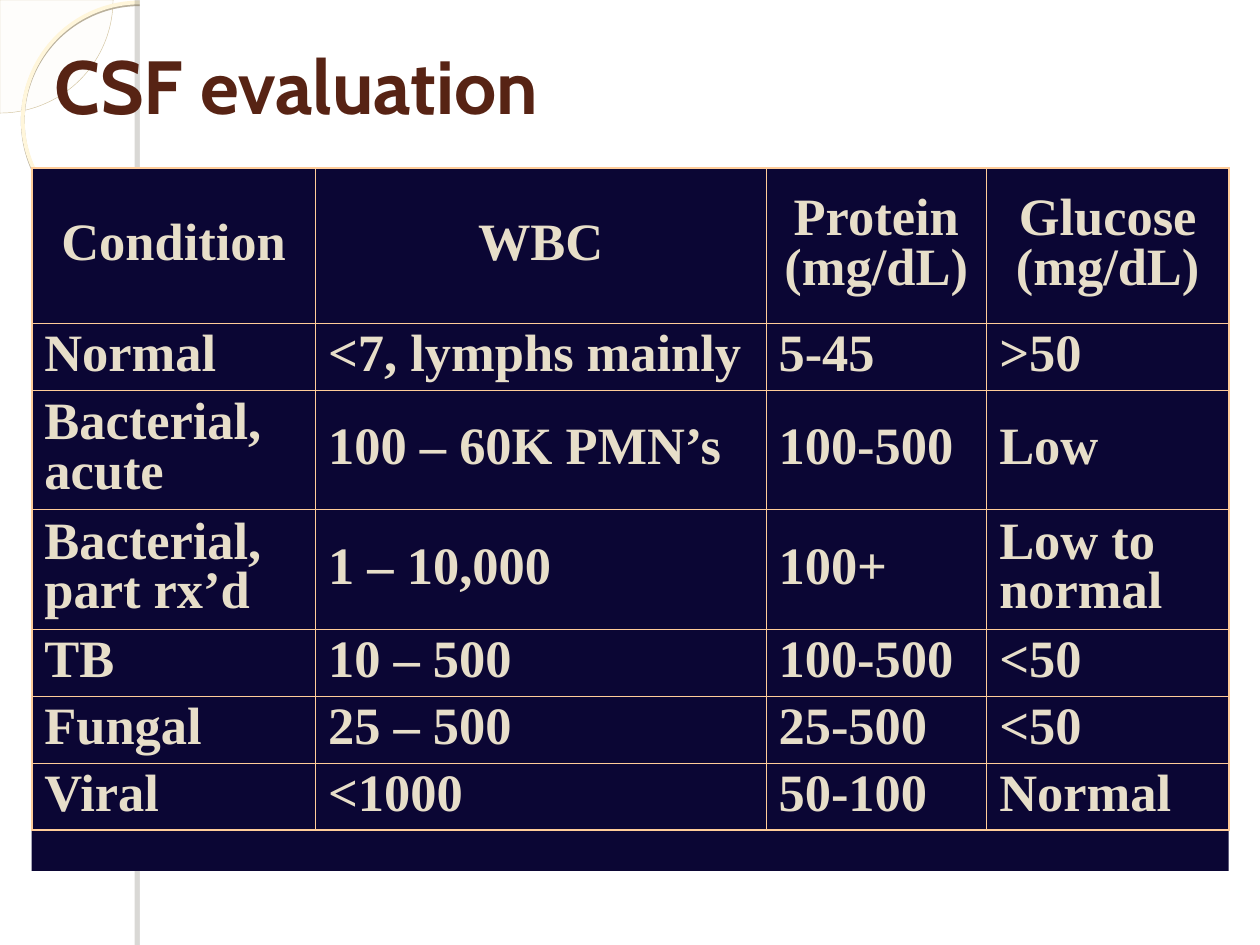
from math import cos, pi, sin

from lxml import etree
from pptx import Presentation
from pptx.dml.color import RGBColor
from pptx.enum.shapes import MSO_SHAPE
from pptx.enum.text import MSO_ANCHOR, MSO_AUTO_SIZE, PP_ALIGN
from pptx.oxml.ns import qn
from pptx.util import Cm, Pt

LEFT, CENTER = PP_ALIGN.LEFT, PP_ALIGN.CENTER
MIDDLE = MSO_ANCHOR.MIDDLE
NO_AUTOFIT = MSO_AUTO_SIZE.NONE
OVAL, RECTANGLE = MSO_SHAPE.OVAL, MSO_SHAPE.RECTANGLE

COLORS = {
    "page": "FFFFFF",
    "title": "572314",
    "panel": "0B0634",
    "cell_text": "E7DEC9",
    "border": "FFCC99",
    "wedge": "FEFAF4",
    "wedge_line": "D2C39E",
    "ring": "FFF6DB",
    "ring_shadow": "AFA58D",
    "bar_shadow": "706B5F",
}

TITLE = "CSF evaluation"
FINDINGS = [
    ("Condition", "WBC", "Protein (mg/dL)", "Glucose (mg/dL)"),
    ("Normal", "<7, lymphs mainly", "5-45", ">50"),
    ("Bacterial, acute", "100 – 60K PMN’s", "100-500", "Low"),
    ("Bacterial, part rx’d", "1 – 10,000", "100+", "Low to normal"),
    ("TB", "10 – 500", "100-500", "<50"),
    ("Fungal", "25 – 500", "25-500", "<50"),
    ("Viral", "<1000", "50-100", "Normal"),
]
COLUMN_WIDTHS = [5.72, 9.08, 4.45, 4.88]
HEADER_HEIGHT, SINGLE_HEIGHT, DOUBLE_HEIGHT = 3.12, 1.35, 2.41
ROW_HEIGHTS = [HEADER_HEIGHT, SINGLE_HEIGHT, DOUBLE_HEIGHT, DOUBLE_HEIGHT] + [SINGLE_HEIGHT] * 3
TABLE_LEFT, TABLE_TOP = 0.64, 3.39
PANEL_HEIGHT = 14.17
SLIDE_WIDTH, SLIDE_HEIGHT = 25.4, 19.05
OUTER_BORDER, INNER_BORDER = 1.08, 0.45
WEDGE_RADIUS, WEDGE_STEPS = 2.28, 48
BAR_LEFT, BAR_WIDTH = 2.82, 0.2


def rgb(name):
    return RGBColor.from_string(COLORS[name])


def write(frame, text, font, size, color, align=LEFT, spacing=None):
    frame.word_wrap = True
    frame.text = text
    paragraph = frame.paragraphs[0]
    paragraph.alignment = align
    paragraph.line_spacing = spacing
    style = paragraph.runs[0].font
    style.name, style.size, style.bold = font, Pt(size), True
    style.color.rgb = rgb(color)


def paint(shape, fill=None, line=None, weight=0):
    shape.shadow.inherit = False
    if fill:
        shape.fill.solid()
        shape.fill.fore_color.rgb = rgb(fill)
    else:
        shape.fill.background()
    if line:
        shape.line.color.rgb = rgb(line)
        shape.line.width = Pt(weight)
    else:
        shape.line.fill.background()
    return shape


def add_part(slide, kind, left, top, width, height, **look):
    return paint(slide.shapes.add_shape(kind, Cm(left), Cm(top), Cm(width), Cm(height)), **look)


def set_alpha(color_element, percent):
    etree.SubElement(color_element, qn("a:alpha"), val=str(percent * 1000))


def cast_shadow(shape, color, alpha, distance, angle):
    effects = shape._element.spPr.find(qn("a:effectLst"))
    shadow = etree.SubElement(effects, qn("a:outerShdw"), blurRad="0", dist=str(int(Pt(distance))),
                              dir=str(angle * 60000), algn="tl", rotWithShape="0")
    set_alpha(etree.SubElement(shadow, qn("a:srgbClr"), val=COLORS[color]), alpha)


def set_borders(cell, widths):
    properties = cell._tc.get_or_add_tcPr()
    for index, (side, width) in enumerate(widths.items()):
        border = etree.Element(qn(f"a:ln{side}"), w=str(int(Pt(width))))
        fill = etree.SubElement(border, qn("a:solidFill"))
        etree.SubElement(fill, qn("a:srgbClr"), val=COLORS["border"])
        properties.insert(index, border)


def add_backdrop(slide):
    angles = [pi / 2 * step / WEDGE_STEPS for step in range(WEDGE_STEPS + 1)]
    arc = [(Cm(WEDGE_RADIUS * cos(angle)), Cm(WEDGE_RADIUS * sin(angle))) for angle in angles]
    builder = slide.shapes.build_freeform(0, 0)
    builder.add_line_segments(arc, close=True)
    wedge = paint(builder.convert_to_shape(), fill="wedge", line="wedge_line", weight=0.25)
    set_alpha(wedge._element.spPr.find(qn("a:solidFill"))[0], 33)

    ring = add_part(slide, OVAL, 0.46, 0.05, 4.72, 4.72, line="ring", weight=2.15)
    cast_shadow(ring, "ring_shadow", 85, 1, 90)
    add_part(slide, RECTANGLE, BAR_LEFT, 0, SLIDE_WIDTH - BAR_LEFT, SLIDE_HEIGHT, fill="page")
    bar = add_part(slide, RECTANGLE, BAR_LEFT, 0, BAR_WIDTH, SLIDE_HEIGHT, fill="page")
    cast_shadow(bar, "bar_shadow", 25, 3, 180)
    add_part(slide, RECTANGLE, TABLE_LEFT, TABLE_TOP, sum(COLUMN_WIDTHS), PANEL_HEIGHT, fill="panel")


def add_title(slide):
    title = slide.shapes.title
    slide.shapes._spTree.append(title._element)
    title.left, title.top, title.width, title.height = Cm(0.84), Cm(0), Cm(23.7), Cm(3.39)
    title.text_frame.auto_size = NO_AUTOFIT
    title.text_frame.vertical_anchor = MIDDLE
    write(title.text_frame, TITLE, font="Cabin", size=43, color="title")


def add_findings(slide):
    last_row, last_column = len(FINDINGS) - 1, len(COLUMN_WIDTHS) - 1
    table = slide.shapes.add_table(
        len(FINDINGS), len(COLUMN_WIDTHS), Cm(TABLE_LEFT), Cm(TABLE_TOP),
        Cm(sum(COLUMN_WIDTHS)), Cm(sum(ROW_HEIGHTS))).table
    table.first_row = table.horz_banding = False
    for column, width in zip(table.columns, COLUMN_WIDTHS):
        column.width = Cm(width)
    for row, height in zip(table.rows, ROW_HEIGHTS):
        row.height = Cm(height)
    for r, findings in enumerate(FINDINGS):
        for c, finding in enumerate(findings):
            cell = table.cell(r, c)
            cell.fill.background()
            cell.vertical_anchor = MIDDLE
            write(cell.text_frame, finding, font="Times New Roman", size=30, color="cell_text",
                  align=LEFT if r else CENTER, spacing=0.85)
            at_edge = {"L": c == 0, "R": c == last_column, "T": r == 0, "B": r == last_row}
            set_borders(cell, {side: OUTER_BORDER if edge else INNER_BORDER
                               for side, edge in at_edge.items()})


def main():
    deck = Presentation()
    deck.slide_width, deck.slide_height = Cm(SLIDE_WIDTH), Cm(SLIDE_HEIGHT)
    slide = deck.slides.add_slide(deck.slide_layouts[5])
    add_backdrop(slide)
    add_title(slide)
    add_findings(slide)
    deck.save("out.pptx")


if __name__ == "__main__":
    main()
